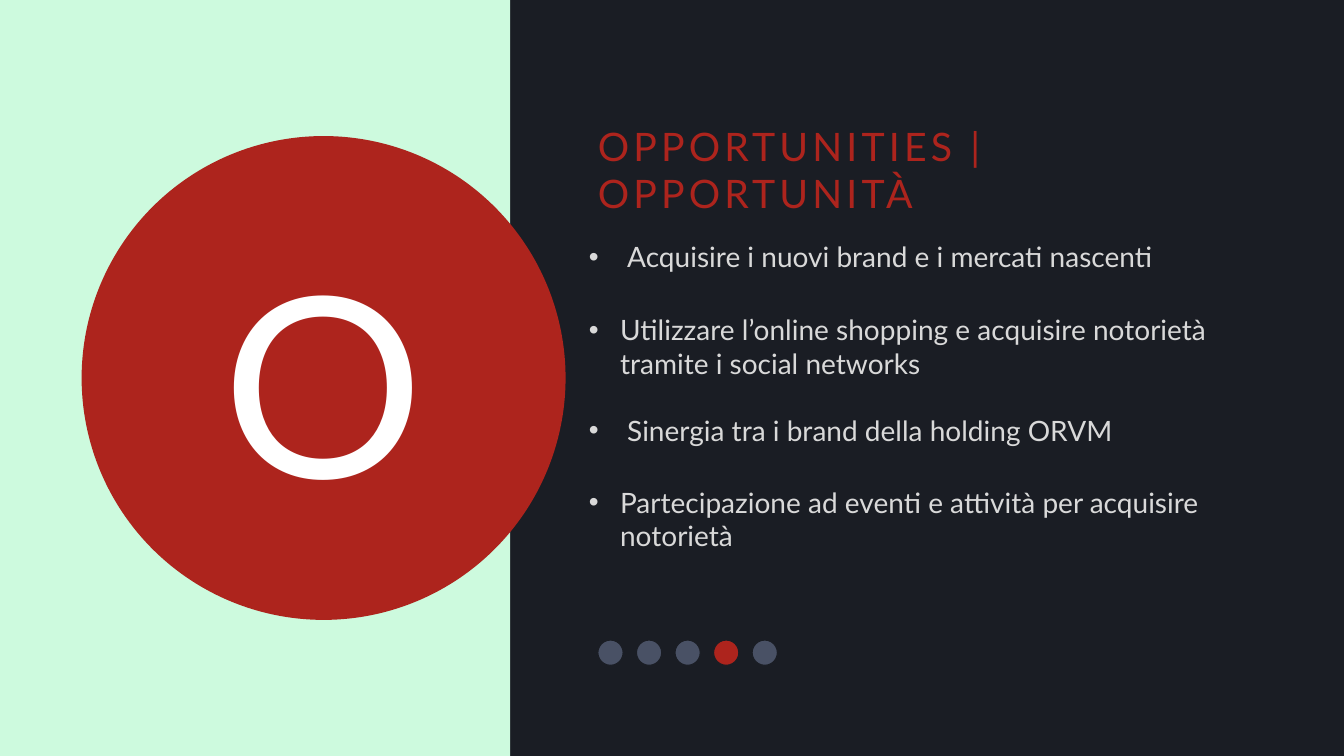
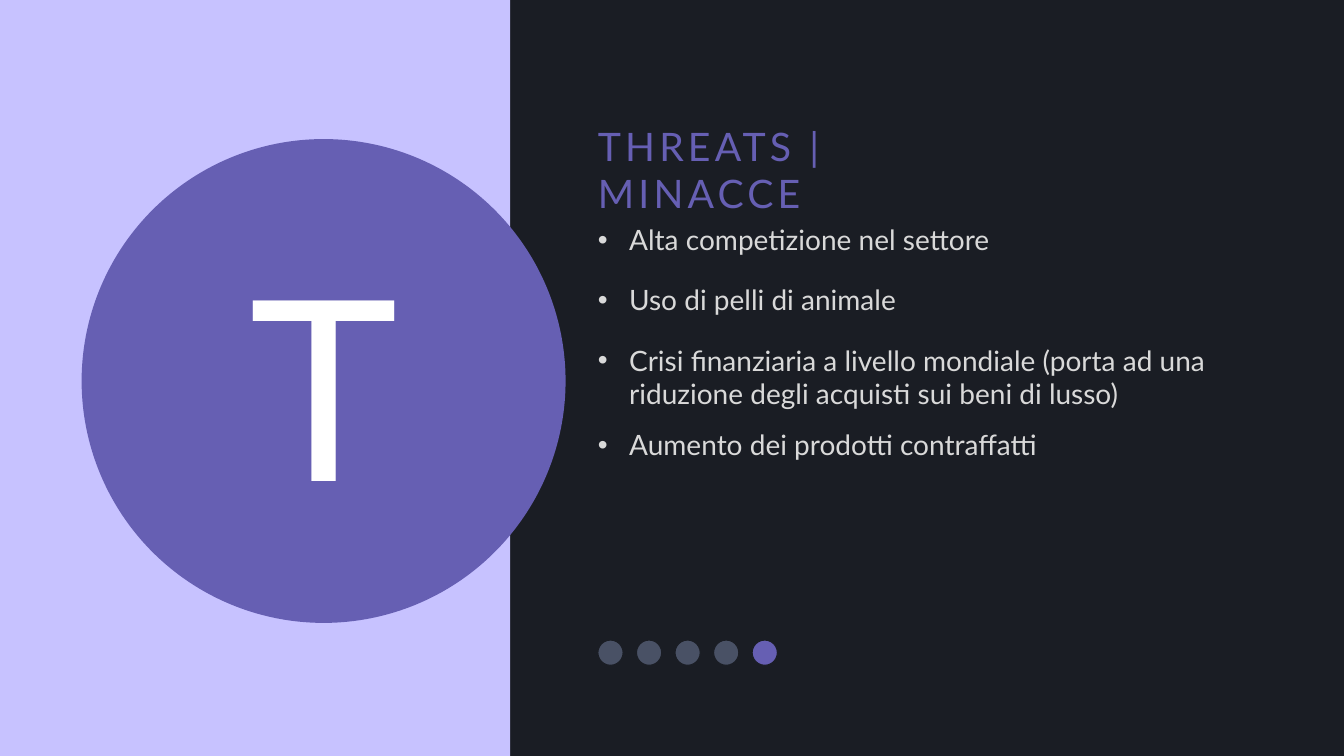
from dataclasses import dataclass
from lxml import etree
from pptx import Presentation
from pptx.dml.color import RGBColor
from pptx.enum.shapes import MSO_SHAPE
from pptx.enum.text import MSO_ANCHOR, MSO_AUTO_SIZE, PP_ALIGN
from pptx.oxml.ns import qn
from pptx.util import Inches, Pt

RECT, OVAL = MSO_SHAPE.RECTANGLE, MSO_SHAPE.OVAL
TOP, MIDDLE = MSO_ANCHOR.TOP, MSO_ANCHOR.MIDDLE
LEFT, CENTER = PP_ALIGN.LEFT, PP_ALIGN.CENTER
FIXED = MSO_AUTO_SIZE.NONE


@dataclass(frozen=True)
class Theme:
    font: str = "Lato"
    back: str = "1A1D24"
    text: str = "D9D9D9"
    white: str = "FFFFFF"
    dot: str = "495165"
    title: int = 28
    body: int = 20
    letter: int = 180
    track: int = 3


THEME = Theme()
FRAME = {"margin_left": 0, "margin_top": 0, "margin_right": 0,
         "margin_bottom": 0, "word_wrap": True, "auto_size": FIXED,
         "vertical_anchor": TOP}

SLIDES = [
    {"letter": "O", "title": "OPPORTUNITIES | OPPORTUNITÀ",
     "dark": "AD241D", "light": "CDFADE", "disc": 1.35, "active": 3,
     "at": (5.84, 2.38),
     "items": [
         ("Acquisire i nuovi brand e i mercati nascenti", 0.38, 0),
         ("Utilizzare l’online shopping e acquisire notorietà tramite "
          "i social networks", 0.31, 28),
         ("Sinergia tra i brand della holding ORVM", 0.38, 24),
         ("Partecipazione ad eventi e attività per acquisire notorietà",
          0.31, 27)]},
    {"letter": "T", "title": "THREATS | MINACCE",
     "dark": "665FB3", "light": "C7C2FF", "disc": 1.38, "active": 4,
     "at": (5.93, 2.21),
     "items": [
         ("Alta competizione nel settore", 0.31, 0),
         ("Uso di pelli di animale", 0.31, 19),
         ("Crisi finanziaria a livello mondiale (porta ad una riduzione "
          "degli acquisti sui beni di lusso)", 0.31, 19),
         ("Aumento dei prodotti contraffatti", 0.31, 12.5)]},
]


def rgb(code):
    return RGBColor.from_string(code)


def apply(target, values):
    for name, value in values.items():
        setattr(target, name, value)


def style(font, size, color):
    apply(font, {"name": THEME.font, "size": Pt(size), "bold": False})
    font.color.rgb = rgb(color)


def place(shape, x, y, w, h):
    apply(shape, {"left": Inches(x), "top": Inches(y),
                  "width": Inches(w), "height": Inches(h)})


def block(slide, kind, box, color, edge=None):
    shape = slide.shapes.add_shape(kind, *map(Inches, box))
    shape.shadow.inherit = False
    shape.fill.solid()
    shape.fill.fore_color.rgb = rgb(color)
    if edge:
        shape.line.color.rgb = rgb(edge)
        shape.line.width = Pt(0.75)
    else:
        shape.line.fill.background()
    return shape


def disc(slide, y, letter, color):
    shape = block(slide, OVAL, (0.81, y, 4.8, 4.8), color)
    frame = shape.text_frame
    inset = Inches(0.08)
    apply(frame, {"margin_left": inset, "margin_top": inset,
                  "margin_right": inset, "margin_bottom": inset,
                  "vertical_anchor": MIDDLE})
    para = frame.paragraphs[0]
    para.alignment = CENTER
    run = para.add_run()
    run.text = letter
    style(run.font, THEME.letter, THEME.white)


def dots(slide, active, color):
    for i in range(5):
        fill = color if i == active else THEME.dot
        box = (5.93 + 0.3825 * i, 6.35, 0.25, 0.25)
        block(slide, OVAL, box, fill, THEME.back)


def heading(slide, text, color):
    title = slide.shapes.title
    place(title, 5.93, 1.21, 4.1, 0.94)
    apply(title.text_frame, FRAME)
    para = title.text_frame.paragraphs[0]
    apply(para, {"alignment": LEFT, "line_spacing": 1.0})
    run = para.add_run()
    run.text = text
    style(run.font, THEME.title, color)
    run.font._element.set("spc", str(THEME.track * 100))


def bullet(para, indent):
    props = para._p.get_or_add_pPr()
    props.set("marL", str(Inches(indent)))
    props.set("indent", str(-Inches(indent)))
    etree.SubElement(props, qn("a:buFont")).set("typeface", "Arial")
    etree.SubElement(props, qn("a:buChar")).set("char", "•")


def listing(slide, at, items):
    body = slide.placeholders[1]
    place(body, *at, 6.3, 3.3)
    frame = body.text_frame
    apply(frame, FRAME)
    for i, (text, indent, gap) in enumerate(items):
        para = frame.add_paragraph() if i else frame.paragraphs[0]
        bullet(para, indent)
        apply(para, {"alignment": LEFT, "line_spacing": 1.0,
                     "space_before": Pt(gap), "space_after": Pt(0)})
        run = para.add_run()
        run.text = text
        style(run.font, THEME.body, THEME.text)


def build(deck, data):
    slide = deck.slides.add_slide(deck.slide_layouts[1])
    block(slide, RECT, (0, 0, 5.06, 7.5), data["light"])
    disc(slide, data["disc"], data["letter"], data["dark"])
    heading(slide, data["title"], data["dark"])
    listing(slide, data["at"], data["items"])
    dots(slide, data["active"], data["dark"])


def main():
    deck = Presentation()
    apply(deck, {"slide_width": Inches(13.33), "slide_height": Inches(7.5)})
    fill = deck.slide_master.background.fill
    fill.solid()
    fill.fore_color.rgb = rgb(THEME.back)
    for data in SLIDES:
        build(deck, data)
    deck.save("out.pptx")


if __name__ == "__main__":
    main()
